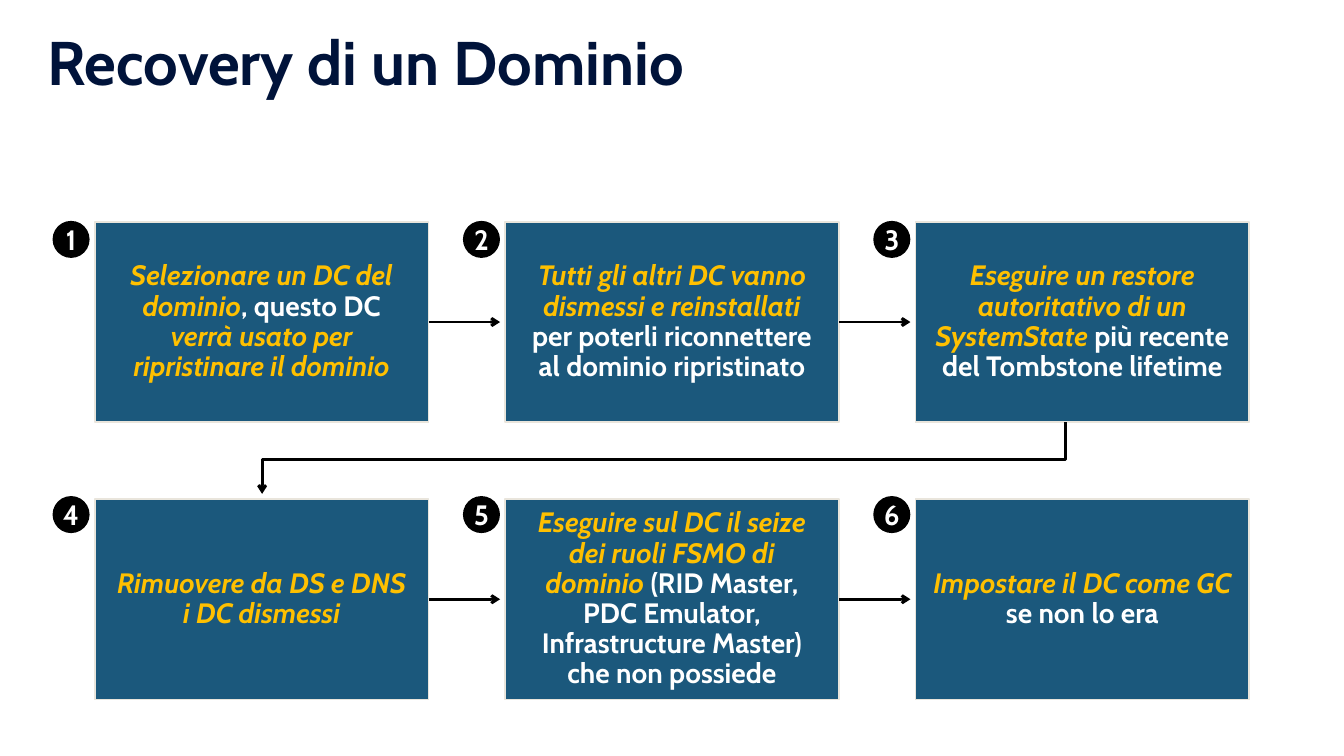
import pptx
import pptx.util
import pptx.dml.color
import pptx.enum.shapes
import pptx.enum.text
import pptx.oxml
import pptx.oxml.ns

Inches = pptx.util.Inches
Pt = pptx.util.Pt
RGB = pptx.dml.color.RGBColor.from_string
SHAPE = pptx.enum.shapes.MSO_SHAPE
ALIGN = pptx.enum.text.PP_ALIGN

THEME = {
    "font": "Cabin",
    "navy": RGB("00133A"),
    "box": RGB("1B587C"),
    "border": RGB("E9E5DC"),
    "accent": RGB("FFC000"),
    "white": RGB("FFFFFF"),
    "black": RGB("000000"),
    "title_size": Pt(44),
    "text_size": Pt(20),
    "border_width": Pt(1.25),
    "arrow_width": Pt(2),
}

STEPS = [
    [("Selezionare un DC del dominio", True), (", questo DC ", False),
     ("verrà usato per ripristinare il dominio", True)],
    [("Tutti gli altri DC vanno dismessi e reinstallati", True),
     (" per poterli riconnettere al dominio ripristinato", False)],
    [("Eseguire un restore autoritativo di un SystemState", True),
     (" più recente del Tombstone lifetime", False)],
    [("Rimuovere da DS e DNS i DC dismessi", True)],
    [("Eseguire sul DC il seize dei ruoli FSMO di dominio", True),
     (" (RID Master, PDC Emulator, Infrastructure Master) che non possiede", False)],
    [("Impostare il DC come GC", True), (" se non lo era", False)],
]

LEFT, TOP, BOX_W, BOX_H = 0.94, 2.2, 3.31, 1.99
STEP_X, STEP_Y, ARROW_LEN = 4.07, 2.75, 0.71
BADGE, BADGE_GAP, BADGE_STEP_Y = 0.35, 0.41, 2.73


def write(sp, runs, size, margin, align, spacing):
    tf = sp.text_frame
    frame = {"word_wrap": True, "auto_size": pptx.enum.text.MSO_AUTO_SIZE.NONE,
             "vertical_anchor": pptx.enum.text.MSO_ANCHOR.MIDDLE}
    for side in ("left", "top", "right", "bottom"):
        frame["margin_" + side] = Inches(margin)
    for name, value in frame.items():
        setattr(tf, name, value)
    p = tf.paragraphs[0]
    p.alignment = align
    p.line_spacing = spacing
    for text, color, italic in runs:
        r = p.add_run()
        r.text = text
        r.font.color.rgb = color
        for name, value in {"name": THEME["font"], "size": size, "bold": True, "italic": italic}.items():
            setattr(r.font, name, value)


def style_arrow(sp):
    sp.line.color.rgb = THEME["black"]
    sp.line.width = THEME["arrow_width"]
    ln = sp.line._get_or_add_ln()
    ln.append(pptx.oxml.parse_xml('<a:tailEnd %s type="arrow"/>' % pptx.oxml.ns.nsdecls("a")))
    ln.addnext(pptx.oxml.parse_xml("<a:effectLst %s/>" % pptx.oxml.ns.nsdecls("a")))


prs = pptx.Presentation()
prs.slide_width = Inches(13.33)
prs.slide_height = Inches(7.5)
s = prs.slides.add_slide(prs.slide_layouts[5])

title = s.shapes.title
for name, value in {"left": 0.37, "top": 0.2, "width": 12.6, "height": 0.91}.items():
    setattr(title, name, Inches(value))
write(title, [("Recovery di un Dominio", THEME["navy"], False)], THEME["title_size"], 0.1, ALIGN.LEFT, 0.9)

for i, step in enumerate(STEPS):
    row, col = divmod(i, 3)
    x, y = LEFT + col * STEP_X, TOP + row * STEP_Y
    box = s.shapes.add_shape(SHAPE.RECTANGLE, Inches(x), Inches(y), Inches(BOX_W), Inches(BOX_H))
    badge = s.shapes.add_shape(SHAPE.OVAL, Inches(x - BADGE_GAP), Inches(TOP + row * BADGE_STEP_Y),
                               Inches(BADGE), Inches(BADGE))
    for sp, fill, line in ((box, "box", "border"), (badge, "black", "black")):
        sp.shadow.inherit = False
        sp.fill.solid()
        sp.fill.fore_color.rgb = THEME[fill]
        sp.line.color.rgb = THEME[line]
        sp.line.width = THEME["border_width"]
    runs = [(text, THEME["accent" if strong else "white"], strong) for text, strong in step]
    write(box, runs, THEME["text_size"], 0.16, ALIGN.CENTER, 0.9)
    write(badge, [(str(i + 1), THEME["white"], False)], THEME["text_size"], 0, ALIGN.CENTER, 1.0)
    if col < 2:
        start, mid = x + BOX_W, y + BOX_H / 2
        arrow = s.shapes.add_connector(pptx.enum.shapes.MSO_CONNECTOR.STRAIGHT, Inches(start), Inches(mid),
                                       Inches(start + ARROW_LEN), Inches(mid))
        arrow.begin_connect(box, 3)
        arrow.end_y = arrow.begin_y
        style_arrow(arrow)

fb = s.shapes.build_freeform(Inches(10.57), Inches(TOP + BOX_H))
fb.add_line_segments([(Inches(x), Inches(y)) for x, y in ((10.57, 4.56), (2.6, 4.56), (2.6, 4.9))], close=False)
elbow = fb.convert_to_shape()
elbow.fill.background()
style_arrow(elbow)

prs.save("out.pptx")
